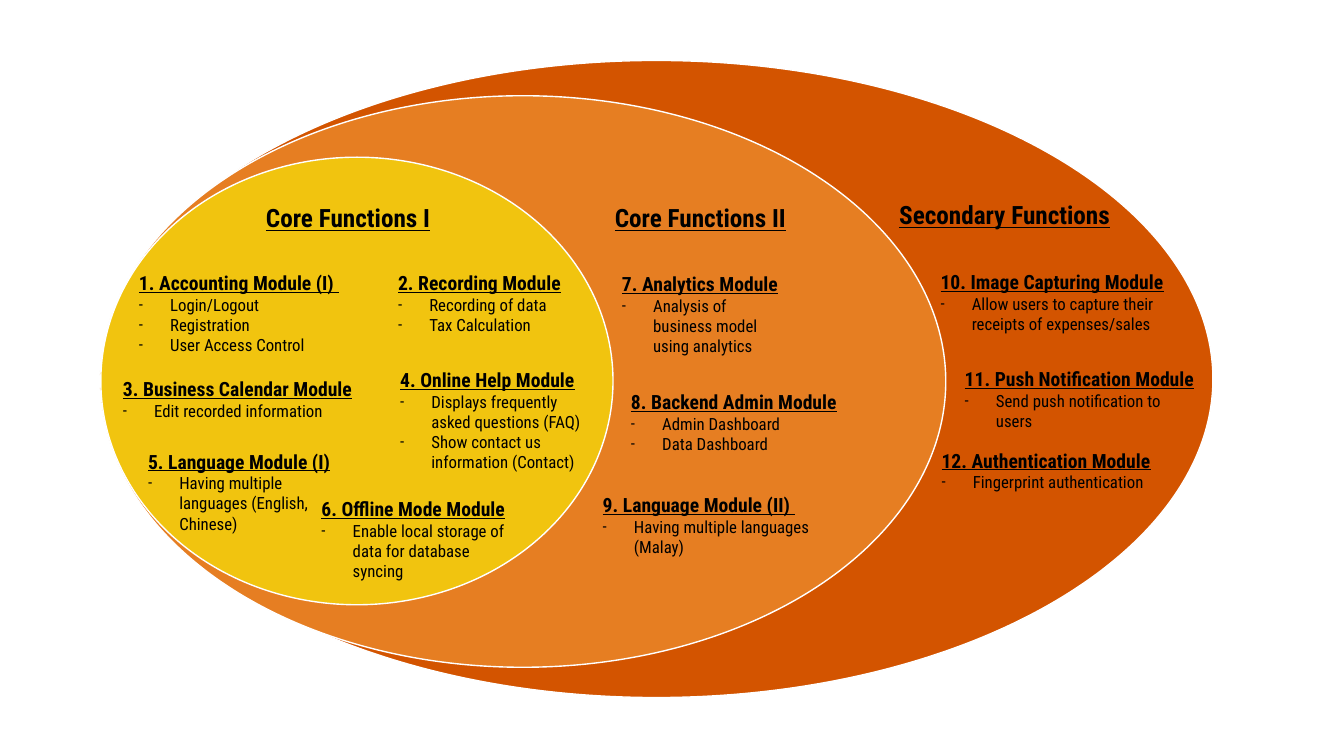
from dataclasses import dataclass

from lxml import etree
from pptx import Presentation
from pptx.dml.color import RGBColor
from pptx.enum.shapes import MSO_SHAPE
from pptx.enum.text import MSO_ANCHOR, MSO_AUTO_SIZE, PP_ALIGN
from pptx.oxml.ns import qn
from pptx.util import Emu, Pt

OVAL = MSO_SHAPE.OVAL
TOP = MSO_ANCHOR.TOP
GROW = MSO_AUTO_SIZE.SHAPE_TO_FIT_TEXT
LEFT = PP_ALIGN.LEFT

EMU_PER_PX = 9144  # 100 px to the inch
SLIDE_WIDTH, SLIDE_HEIGHT = 1333, 750
BULLET_INDENT = 31
BLANK_LAYOUT = 6


@dataclass(frozen=True)
class Theme:
    font: str = "Roboto Condensed"
    text: str = "000000"
    outline: str = "FFFFFF"
    secondary: str = "D35400"
    core_two: str = "E67E22"
    core_one: str = "F1C40F"
    heading_size: int = 18
    module_size: int = 14
    feature_size: int = 12


THEME = Theme()

# Outermost ring first: left, top, width, height, colour
RINGS = [
    (99, 60, 1104, 632, THEME.secondary),
    (99, 95, 839, 567, THEME.core_two),
    (100, 156, 508, 444, THEME.core_one),
]

# left, top, width, height, heading
HEADINGS = [
    (254, 196, 194, 40, "Core Functions I"),
    (600, 196, 206, 40, "Core Functions II"),
    (882, 193, 231, 40, "Secondary Functions"),
]

# left, top, width, height, module, features
MODULES = [
    (128, 264, 240, 94, "1. Accounting Module (I) ",
     ["Login/Logout", "Registration", "User Access Control"]),
    (385, 264, 194, 74, "2. Recording Module",
     ["Recording of data", "Tax Calculation"]),
    (112, 369, 252, 54, "3. Business Calendar Module",
     ["Edit recorded information"]),
    (387, 360, 211, 114, "4. Online Help Module",
     ["Displays frequently asked questions (FAQ)",
      "Show contact us information (Contact)"]),
    (137, 441, 203, 94, "5. Language Module (I)",
     ["Having multiple languages (English, Chinese)"]),
    (309, 488, 206, 74, "6. Offline Mode Module",
     ["Enable local storage of data for database syncing"]),
    (607, 265, 177, 94, "7. Analytics Module",
     ["Analysis of business model using analytics"]),
    (616, 382, 245, 74, "8. Backend Admin Module",
     ["Admin Dashboard", "Data Dashboard"]),
    (588, 484, 263, 54, "9. Language Module (II) ",
     ["Having multiple languages (Malay)"]),
    (923, 263, 245, 74, "10. Image Capturing Module",
     ["Allow users to capture their receipts of expenses/sales"]),
    (947, 359, 250, 54, "11. Push Notification Module",
     ["Send push notification to users"]),
    (924, 440, 267, 54, "12. Authentication Module",
     ["Fingerprint authentication"]),
]


def px(length):
    return Emu(length * EMU_PER_PX)


def set_attributes(target, values):
    for attribute, value in values.items():
        setattr(target, attribute, value)


def add_ring(slide, left, top, width, height, color):
    ring = slide.shapes.add_shape(OVAL, px(left), px(top), px(width), px(height))
    ring.shadow.inherit = False
    ring.fill.solid()
    ring.fill.fore_color.rgb = RGBColor.from_string(color)
    ring.line.color.rgb = RGBColor.from_string(THEME.outline)
    ring.line.width = Pt(1)


def add_text_frame(slide, left, top, width, height):
    frame = slide.shapes.add_textbox(px(left), px(top), px(width), px(height)).text_frame
    set_attributes(frame, {"word_wrap": True, "auto_size": GROW, "vertical_anchor": TOP})
    return frame


def write_line(paragraph, text, size, emphasis):
    """Write one run; emphasis makes it bold and underlined."""
    paragraph.alignment = LEFT
    run = paragraph.add_run()
    run.text = text
    set_attributes(run.font, {"name": THEME.font, "size": Pt(size),
                              "bold": emphasis, "underline": emphasis})
    run.font.color.rgb = RGBColor.from_string(THEME.text)


def add_dash_bullet(paragraph):
    properties = paragraph._p.get_or_add_pPr()
    properties.set("marL", str(px(BULLET_INDENT)))
    properties.set("indent", str(-px(BULLET_INDENT)))
    etree.SubElement(properties, qn("a:buFont"), typeface=THEME.font)
    etree.SubElement(properties, qn("a:buChar"), char="-")


def add_heading(slide, left, top, width, height, heading):
    frame = add_text_frame(slide, left, top, width, height)
    write_line(frame.paragraphs[0], heading, THEME.heading_size, True)


def add_module(slide, left, top, width, height, module, features):
    frame = add_text_frame(slide, left, top, width, height)
    write_line(frame.paragraphs[0], module, THEME.module_size, True)
    for feature in features:
        feature_line = frame.add_paragraph()
        write_line(feature_line, feature, THEME.feature_size, False)
        add_dash_bullet(feature_line)


def main():
    presentation = Presentation()
    set_attributes(presentation, {"slide_width": px(SLIDE_WIDTH),
                                  "slide_height": px(SLIDE_HEIGHT)})
    slide = presentation.slides.add_slide(presentation.slide_layouts[BLANK_LAYOUT])
    for ring in RINGS:
        add_ring(slide, *ring)
    for heading in HEADINGS:
        add_heading(slide, *heading)
    for module in MODULES:
        add_module(slide, *module)
    presentation.save("out.pptx")


if __name__ == "__main__":
    main()
